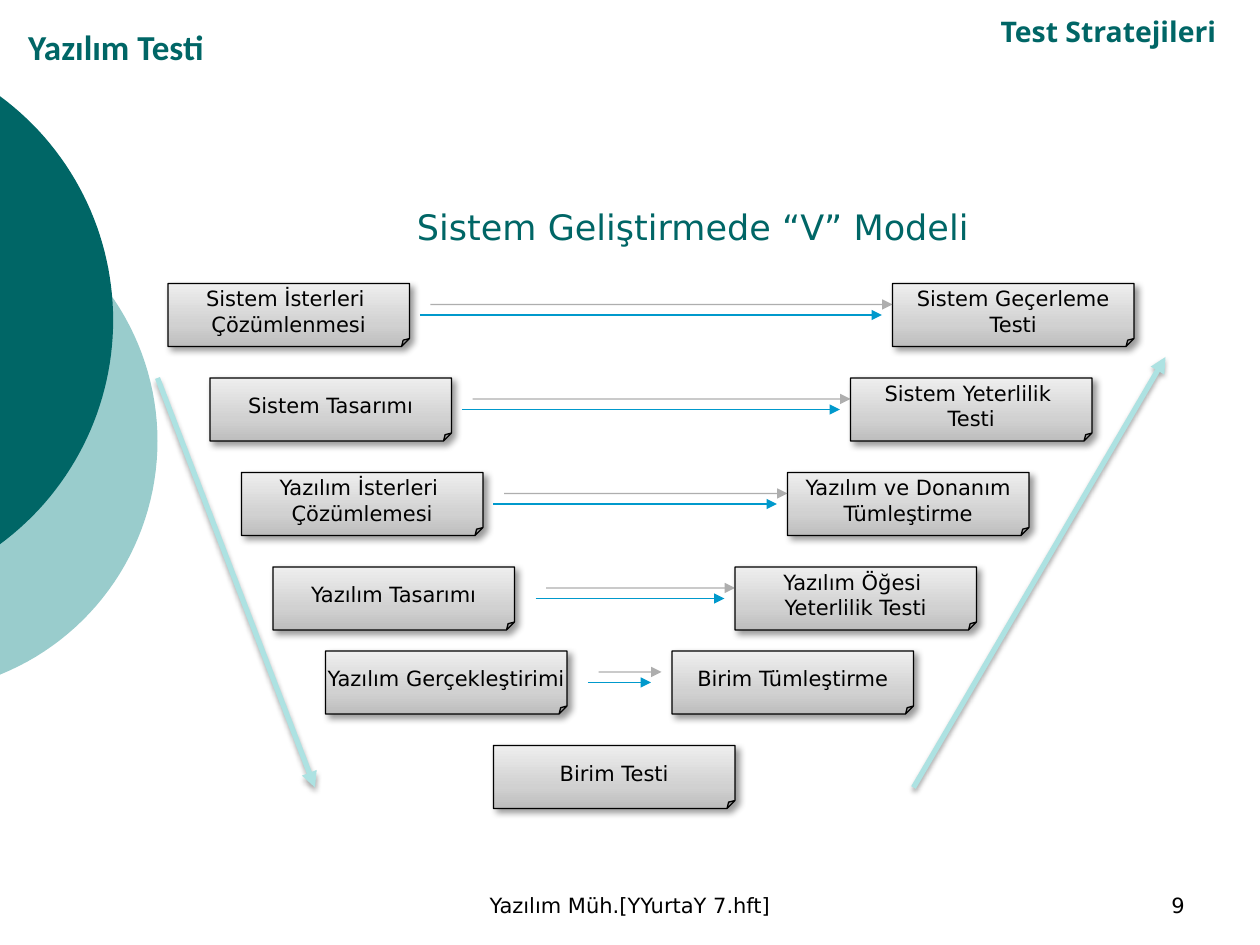
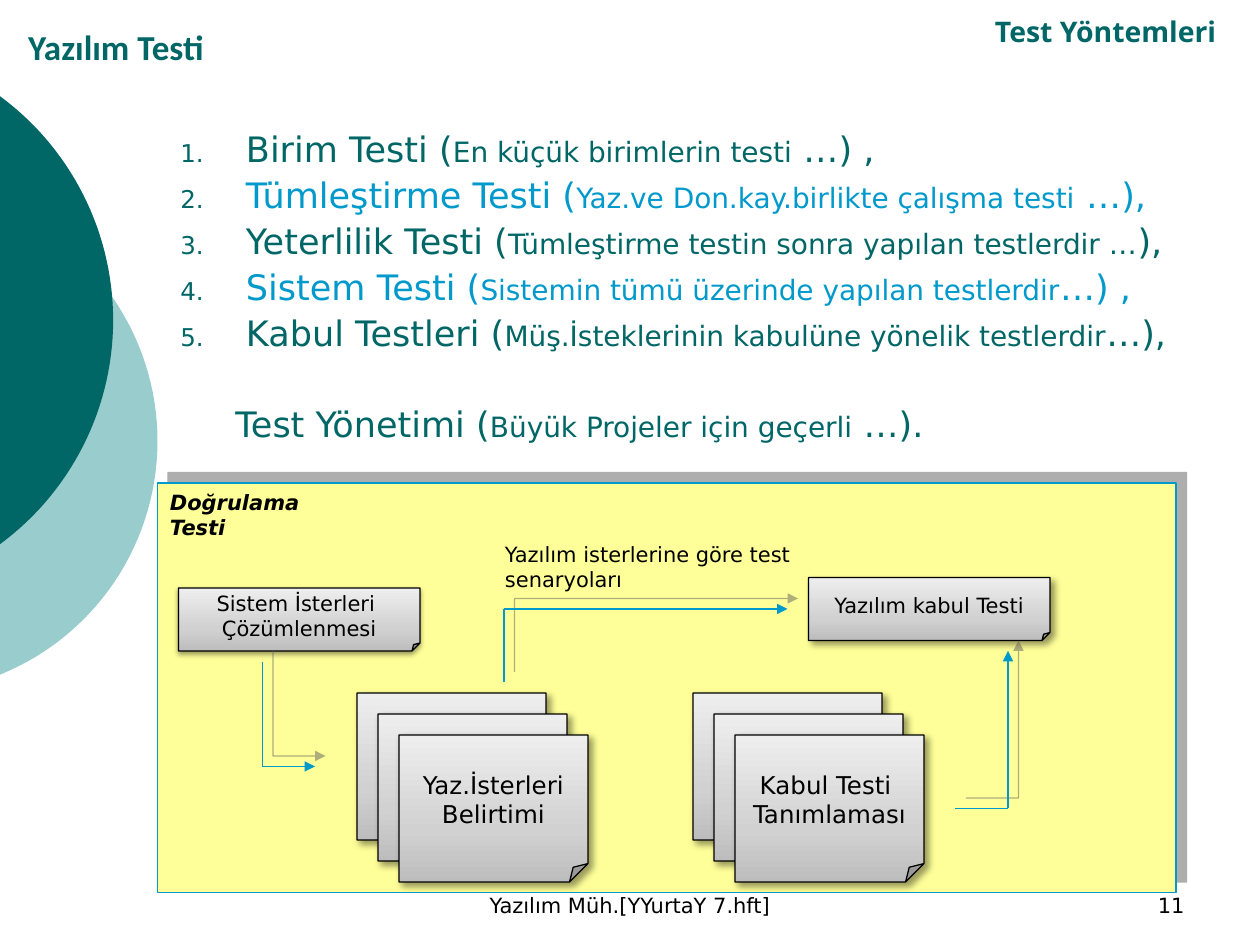
from math import acos, cos, sin

from pptx import Presentation
from pptx.dml.color import RGBColor
from pptx.enum.shapes import MSO_CONNECTOR as Connector, MSO_SHAPE as Shape
from pptx.enum.text import MSO_ANCHOR as Anchor, PP_ALIGN as Align
from pptx.oxml import parse_xml
from pptx.oxml.ns import nsdecls, qn
from pptx.util import Pt

COLOURS = {
    "teal": "006666", "pale teal": "99CCCC", "blue": "0099CC",
    "aqua": "ADE2E2", "yellow": "FFFF99", "black": "000000",
    "shade": "5F5F5F",
}
NOTE_GRADIENT = [(0, "BDBDBD"), (35, "D1D1D1"), (100, "EEEEEE")]
BODY_FONT = "DejaVu Sans"

NOTE_SHADOW = ("black", 40, 4, 3, 45)
SOFT_SHADOW = ("black", 38, 3.1, 1.6, 90)
BRANCH_SHADOW = ("black", 35, 3.1, 1.8, 90)
OFFSET_SHADOW = ("shade", 50, 0, 8.5, 315)

CIRCLES = [(-54, 252, 144, "pale teal"), (-94.3, 183, 159, "teal")]
COURSE = "Yazılım Testi"
FOOTER = "Yazılım Müh.[YYurtaY 7.hft]"

NOTE_SIZE = (138, 36)
V_TITLE = "Sistem Geliştirmede “V” Modeli"
V_ROWS = [
    (162, 96, 510, 6, 6, ["Sistem İsterleri ", "Çözümlenmesi"], ["Sistem Geçerleme", "Testi"]),
    (216, 120, 486, 6, 6, ["Sistem Tasarımı"], ["Sistem Yeterlilik ", "Testi"]),
    (270, 138, 450, 6, 6, ["Yazılım İsterleri ", "Çözümlemesi"], ["Yazılım ve Donanım", "Tümleştirme"]),
    (324, 156, 420, 12, 6, ["Yazılım Tasarımı"], ["Yazılım Öğesi ", "Yeterlilik Testi"]),
    (372, 186, 384, 12, 12, ["Yazılım Gerçekleştirimi"], ["Birim Tümleştirme"]),
]
V_BASE = (282, 426, ["Birim Testi"])
V_BRANCHES = [[(90, 216), (180, 450)], [(522, 450), (666, 204)]]

METHODS = [
    ("Birim Testi (", "En küçük birimlerin testi", " …) ,"),
    ("Tümleştirme Testi (", "Yaz.ve Don.kay.birlikte çalışma testi", " …),"),
    ("Yeterlilik Testi (", "Tümleştirme testin sonra yapılan testlerdir …", "),"),
    ("Sistem Testi (", "Sistemin tümü üzerinde yapılan testlerdir", "…) ,"),
    ("Kabul Testleri (", "Müş.İsteklerinin kabulüne yönelik testlerdir", "…),"),
]
MANAGEMENT = ("Test Yönetimi (", "Büyük Projeler için geçerli", " …).")
FLOW_NOTES = [
    (102, 336, ["Sistem İsterleri ", "Çözümlenmesi"], SOFT_SHADOW),
    (462, 330, ["Yazılım kabul Testi"], NOTE_SHADOW),
]
STACK_SIZE = (108, 84)
STACK_STEP = 12
STACKS = [
    (204, 396, ["Yaz.İsterleri", "Belirtimi"]),
    (396, 396, ["Kabul Testi ", "Tanımlaması"]),
]
FLOW_ROUTES = [
    [(150, 378), (150, 438), (180, 438)],
    [(288, 390), (288, 348), (450, 348)],
    [(546, 462), (576, 462), (576, 372)],
]


def colour(name):
    return RGBColor.from_string(COLOURS[name])


def points(*values):
    return [Pt(value) for value in values]


def cast_shadow(properties, shadow):
    name, opacity, blur, distance, angle = shadow
    old = properties.find(qn("a:effectLst"))
    if old is not None:
        properties.remove(old)
    properties.append(parse_xml(
        f'<a:effectLst {nsdecls("a")}><a:outerShdw blurRad="{Pt(blur)}" dist="{Pt(distance)}" '
        f'dir="{angle * 60000}" algn="ctr" rotWithShape="0"><a:srgbClr val="{COLOURS[name]}">'
        f'<a:alpha val="{opacity * 1000}"/></a:srgbClr></a:outerShdw></a:effectLst>'))


def add_span(para, text, size, ink="black", font=BODY_FONT, bold=False, italic=False):
    span = para.add_run()
    span.text = text
    span.font.size = Pt(size)
    span.font.name = font
    span.font.color.rgb = colour(ink)
    span.font.bold = bold
    span.font.italic = italic
    return span


def add_frame(page, area, anchor=Anchor.TOP):
    frame = page.shapes.add_textbox(*points(*area)).text_frame
    frame.word_wrap = True
    frame.vertical_anchor = anchor
    return frame


def add_label(page, area, text, size, align=Align.LEFT, anchor=Anchor.TOP, **style):
    para = add_frame(page, area, anchor).paragraphs[0]
    para.alignment = align
    return add_span(para, text, size, **style)


def add_note(page, left, top, lines=(), size=NOTE_SIZE, text_size=12, shadow=NOTE_SHADOW):
    note = page.shapes.add_shape(Shape.FOLDED_CORNER, *points(left, top, *size))
    note.fill.gradient()
    properties = note._element.spPr
    geometry = properties.find(qn("a:prstGeom"))
    for guides in geometry.findall(qn("a:avLst")):
        geometry.remove(guides)
    geometry.append(parse_xml(
        f'<a:avLst {nsdecls("a")}><a:gd name="adj" fmla="val 12500"/></a:avLst>'))
    stops = "".join(f'<a:gs pos="{place * 1000}"><a:srgbClr val="{tone}"/></a:gs>'
                    for place, tone in NOTE_GRADIENT)
    properties.replace(properties.find(qn("a:gradFill")), parse_xml(
        f'<a:gradFill {nsdecls("a")} rotWithShape="1"><a:gsLst>{stops}</a:gsLst>'
        '<a:lin ang="16200000" scaled="0"/></a:gradFill>'))
    note.line.color.rgb = colour("black")
    note.line.width = Pt(0.75)
    cast_shadow(properties, shadow)
    frame = note.text_frame
    frame.word_wrap = False
    frame.vertical_anchor = Anchor.MIDDLE
    for index, line in enumerate(lines):
        para = frame.add_paragraph() if index else frame.paragraphs[0]
        para.alignment = Align.CENTER
        add_span(para, line, text_size)


def add_route(page, stops, ink="blue", width=0.75, shadow=OFFSET_SHADOW):
    for start, end in zip(stops, stops[1:]):
        line = page.shapes.add_connector(Connector.STRAIGHT, *points(*start, *end))
        line.line.color.rgb = colour(ink)
        line.line.width = Pt(width)
        if end == stops[-1]:
            line.line._get_or_add_ln().append(
                parse_xml(f'<a:tailEnd {nsdecls("a")} type="triangle"/>'))
        cast_shadow(line._element.spPr, shadow)


def add_circle_part(page, centre_x, centre_y, radius, ink, steps=60):
    reach = acos(-centre_x / radius)
    angles = [reach * (2 * step / steps - 1) for step in range(steps + 1)]
    arc = [(centre_x + radius * cos(angle), centre_y + radius * sin(angle)) for angle in angles]
    builder = page.shapes.build_freeform(*points(*arc[0]), scale=1.0)
    builder.add_line_segments([points(*spot) for spot in arc[1:]], close=True)
    part = builder.convert_to_shape()
    part.shadow.inherit = False
    part.fill.solid()
    part.fill.fore_color.rgb = colour(ink)
    part.line.fill.background()


def add_page(deck, topic, number):
    page = deck.slides.add_slide(deck.slide_layouts[6])
    for circle in CIRCLES:
        add_circle_part(page, *circle)
    add_label(page, (246, 492, 228, 36), FOOTER, 12, Align.CENTER, Anchor.BOTTOM)
    add_label(page, (516, 492, 168, 36), number, 12, Align.RIGHT, Anchor.BOTTOM)
    add_label(page, (9, 12, 234, 30), COURSE, 20, anchor=Anchor.BOTTOM,
              ink="teal", font="Calibri", bold=True)
    heading = add_label(page, (228, 0, 474, 42), topic, 28, Align.RIGHT, Anchor.BOTTOM,
                        ink="teal", font="Open Sans", bold=True)
    heading._r.get_or_add_rPr().set("baseline", "30000")
    return page


def add_method(para, parts, ink, space, margin, indent=0):
    properties = para._p.get_or_add_pPr()
    properties.set("marL", str(Pt(margin)))
    properties.set("indent", str(Pt(indent)))
    if indent:
        for tag in (f'<a:buClr {nsdecls("a")}><a:srgbClr val="{COLOURS["teal"]}"/></a:buClr>',
                    f'<a:buSzPct {nsdecls("a")} val="70000"/>',
                    f'<a:buFont {nsdecls("a")} typeface="{BODY_FONT}"/>',
                    f'<a:buAutoNum {nsdecls("a")} type="arabicPeriod"/>'):
            properties.append(parse_xml(tag))
    para.alignment = Align.JUSTIFY
    para.line_spacing = 0.9
    para.space_before = Pt(space)
    for text, size in zip(parts, (20, 16, 20)):
        add_span(para, text, size, ink)


def build_v_model(deck):
    page = add_page(deck, "Test Stratejileri", "9")
    add_label(page, (90, 114, 612, 36), V_TITLE, 20, Align.CENTER, ink="teal")
    width, height = NOTE_SIZE
    for top, left, right, gap_before, gap_after, work, test in V_ROWS:
        add_note(page, left, top, work)
        add_note(page, right, top, test)
        middle = top + height / 2
        add_route(page, [(left + width + gap_before, middle), (right - gap_after, middle)])
    add_note(page, *V_BASE)
    for branch in V_BRANCHES:
        add_route(page, branch, "aqua", 3, BRANCH_SHADOW)


def build_methods(deck):
    page = add_page(deck, "Test Yöntemleri", "11")
    panel = page.shapes.add_shape(Shape.RECTANGLE, *points(90, 276, 582, 234))
    panel.fill.solid()
    panel.fill.fore_color.rgb = colour("yellow")
    panel.line.color.rgb = colour("blue")
    panel.line.width = Pt(0.75)
    cast_shadow(panel._element.spPr, OFFSET_SHADOW)

    frame = add_frame(page, (96, 72, 612, 192))
    for index, method in enumerate(METHODS):
        para = frame.add_paragraph() if index else frame.paragraphs[0]
        add_method(para, method, ("teal", "blue")[index % 2], 4.7 if index else 0, 37.5, -37.5)
    add_method(frame.add_paragraph(), MANAGEMENT, "teal", 30.3, 31.5)

    for left, top, lines, shadow in FLOW_NOTES:
        add_note(page, left, top, lines, shadow=shadow)
    for left, top, lines in STACKS:
        for layer in range(3):
            shift = layer * STACK_STEP
            add_note(page, left + shift, top + shift, lines if layer == 2 else (), STACK_SIZE, 14)
    for route in FLOW_ROUTES:
        add_route(page, route)
    add_label(page, (281.5, 306, 246, 36), "Yazılım isterlerine göre test senaryoları", 12)
    add_label(page, (90, 276, 120, 36), "Doğrulama Testi", 12, bold=True, italic=True)


def main():
    deck = Presentation()
    deck.slide_width, deck.slide_height = points(720, 540)
    build_v_model(deck)
    build_methods(deck)
    deck.save("out.pptx")


if __name__ == "__main__":
    main()
